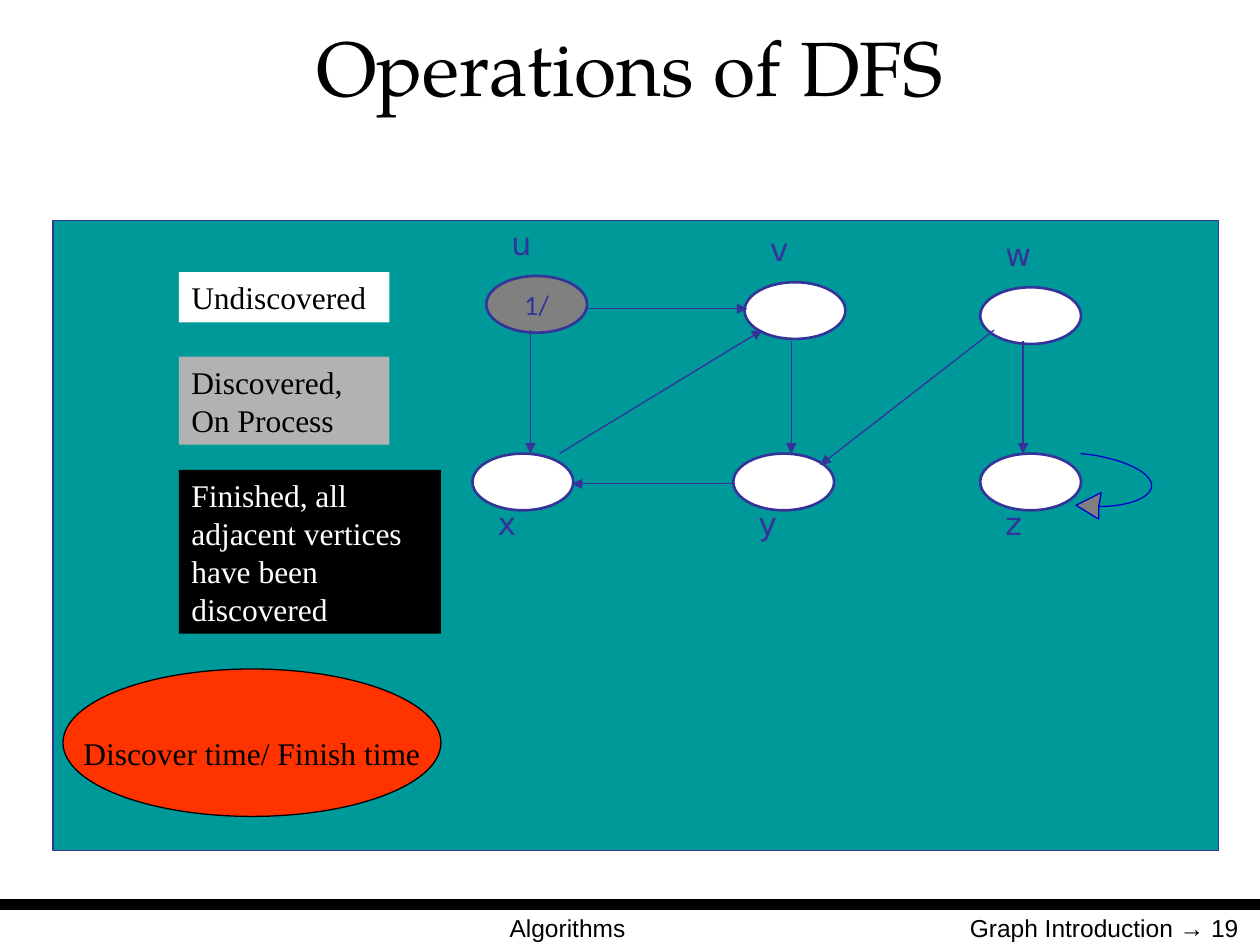
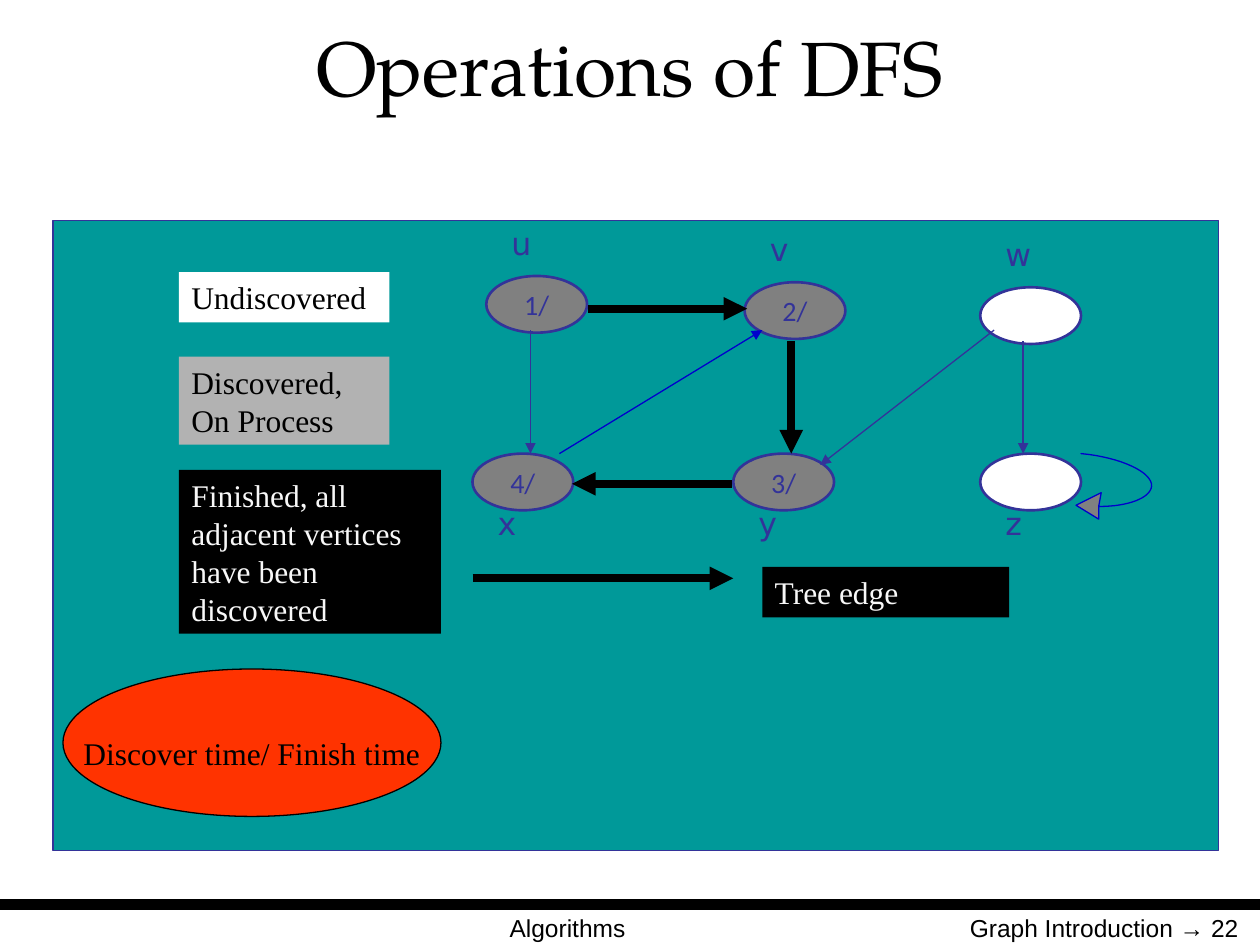
from dataclasses import dataclass

from pptx import Presentation
from pptx.dml.color import RGBColor
from pptx.enum.shapes import MSO_CONNECTOR as Connector, MSO_SHAPE as Shape
from pptx.enum.text import MSO_ANCHOR as Anchor, PP_ALIGN as Align
from pptx.oxml.ns import qn
from pptx.util import Inches, Pt
from lxml import etree


@dataclass(frozen=True)
class Theme:
    black: str = "000000"
    white: str = "FFFFFF"
    off_white: str = "F8F8F8"
    teal: str = "009999"
    indigo: str = "333399"
    blue: str = "0000CC"
    gray: str = "808080"
    silver: str = "B2B2B2"
    red: str = "FF3300"
    title: tuple = ("TeX Gyre Pagella", 44)
    body: tuple = ("Times New Roman", 18)
    label: tuple = ("DejaVu Sans", 18)
    time: tuple = ("Calibri", 16)
    footer: tuple = ("Arial", 14)
    thin: float = 0.75
    outline: float = 1.5
    tree: float = 4.5
    band: float = 6


T = Theme()

# Top left corner of each vertex
VERTICES = {
    "u": (3.86, 2.19), "v": (5.91, 2.24), "w": (7.78, 2.28),
    "x": (3.75, 3.6), "y": (5.82, 3.6), "z": (7.78, 3.6),
}
EDGES = {
    "uv": (4.67, 2.45, 5.93, 2.45),
    "yx": (5.81, 3.84, 4.54, 3.84),
    "vy": (6.28, 2.71, 6.28, 3.6),
    "ux": (4.21, 2.62, 4.21, 3.6),
    "wz": (8.12, 2.71, 8.12, 3.6),
    "wy": (7.89, 2.62, 6.51, 3.69),
    "xv": (4.44, 3.6, 6.05, 2.62),
}
LOOP_CURVES = (
    ((8.58, 3.6), (8.9, 3.63), (9.15, 3.75), (9.14, 3.86)),
    ((9.14, 3.86), (9.13, 3.95), (8.96, 4.02), (8.72, 4.02)),
)
LOOP_HEAD = [(8.72, 4.12), (8.54, 4.01), (8.74, 3.91), (8.72, 4.02)]


def rgb(color):
    return RGBColor.from_string(color)


def bezier(curve, steps=16):
    """Points along a cubic curve, both ends included."""
    weights = [((1 - t) ** 3, 3 * t * (1 - t) ** 2, 3 * t * t * (1 - t), t ** 3)
               for t in (i / steps for i in range(steps + 1))]
    return [tuple(sum(w * point[axis] for w, point in zip(ws, curve))
                  for axis in (0, 1)) for ws in weights]


class Deck:
    def __init__(self):
        self.prs = Presentation()
        self.prs.slide_width, self.prs.slide_height = Inches(10), Inches(7.5)
        self.s = None

    def new_slide(self, title, number):
        self.s = self.prs.slides.add_slide(self.prs.slide_layouts[6])
        self.line((0, 7.18, 10, 7.18), T.black, T.band, arrow=False)
        self.text((2.92, 7.2, 3.17, 0.52), "Algorithms", T.footer, align=Align.CENTER)
        self.text((7.18, 7.2, 2.75, 0.52), f"Graph Introduction → {number}",
                  T.footer, align=Align.RIGHT)
        self.text((0.05, 0.07, 9.9, 0.9), title, T.title, align=Align.CENTER,
                  vertical_anchor=Anchor.MIDDLE)

    def fill_text(self, sp, text, style, color, align=Align.LEFT, **frame):
        tf = sp.text_frame
        frame = {"word_wrap": True, "vertical_anchor": Anchor.TOP,
                 "margin_left": Inches(0.1), "margin_right": Inches(0.1),
                 "margin_top": Inches(0.05), "margin_bottom": Inches(0.05), **frame}
        for name, value in frame.items():
            setattr(tf, name, value)
        p = tf.paragraphs[0]
        p.alignment = align
        r = p.add_run()
        r.text = text
        name, size = style
        for key, value in {"name": name, "size": Pt(size)}.items():
            setattr(r.font, key, value)
        r.font.color.rgb = rgb(color)

    def text(self, box, text, style, color=T.black, **layout):
        sp = self.s.shapes.add_textbox(*map(Inches, box))
        self.fill_text(sp, text, style, color, **layout)

    def paint(self, sp, fill, line, width):
        sp.shadow.inherit = False
        sp.fill.solid()
        sp.fill.fore_color.rgb = rgb(fill)
        if line:
            sp.line.color.rgb = rgb(line)
            sp.line.width = Pt(width)
        else:
            sp.line.fill.background()

    def shape(self, kind, box, fill, line=None, width=T.thin):
        sp = self.s.shapes.add_shape(kind, *map(Inches, box))
        self.paint(sp, fill, line, width)
        return sp

    def line(self, ends, color, width, arrow=True):
        sp = self.s.shapes.add_connector(Connector.STRAIGHT, *map(Inches, ends))
        sp.line.color.rgb = rgb(color)
        sp.line.width = Pt(width)
        sp_pr = sp._element.spPr
        if arrow:
            etree.SubElement(sp_pr.find(qn("a:ln")), qn("a:tailEnd"), type="triangle")
        etree.SubElement(sp_pr, qn("a:effectLst"))

    def outline(self, points, fill, line):
        start, *rest = [tuple(map(Inches, point)) for point in points]
        builder = self.s.shapes.build_freeform(*start)
        builder.add_line_segments(rest, close=True)
        self.paint(builder.convert_to_shape(), fill, line, T.thin)

    def caption(self, box, text, fill, color):
        self.fill_text(self.shape(Shape.RECTANGLE, box, fill), text, T.body, color)

    def vertex(self, name, time):
        x, y = VERTICES[name]
        sp = self.shape(Shape.OVAL, (x, y, 0.8, 0.45), T.gray if time else T.white,
                        T.indigo, T.outline)
        if time:
            self.fill_text(sp, f"{time}/", T.time, T.indigo, align=Align.CENTER,
                           word_wrap=False, vertical_anchor=Anchor.MIDDLE)
        label_y = y - 0.46 if name in "uvw" else y + 0.35
        self.text((x + 0.02, label_y, 0.8, 0.4), name, T.label, T.indigo,
                  margin_left=Inches(0.18))

    def self_loop(self):
        arc = [point for curve in LOOP_CURVES for point in bezier(curve)]
        self.outline(arc + LOOP_HEAD + arc[::-1], T.gray, T.blue)

    def legend(self, light):
        self.caption((1.42, 2.16, 1.67, 0.4), "Undiscovered", T.white, T.black)
        self.caption((1.42, 2.83, 1.67, 0.7), "Discovered, On Process", T.silver, T.black)
        self.caption((1.42, 3.73, 2.08, 1.3),
                     "Finished, all adjacent vertices have been discovered", T.black, light)
        sp = self.shape(Shape.OVAL, (0.5, 5.31, 3, 1.17), T.red, T.black)
        self.fill_text(sp, "Discover time/ Finish time", T.body, T.black,
                       align=Align.CENTER, word_wrap=False,
                       vertical_anchor=Anchor.MIDDLE, margin_top=Inches(0.21))

    def dfs_step(self, number, times, tree=(), back=(), light=T.white):
        """One step of the search: discovery times, tree edges and back edges."""
        self.new_slide("Operations of DFS", number)
        self.shape(Shape.RECTANGLE, (0.42, 1.75, 9.25, 5), T.teal, T.indigo)
        self.self_loop()
        for name in VERTICES:
            self.vertex(name, times.get(name))
        for edge, ends in EDGES.items():
            if edge in tree:
                self.line(ends, T.black, T.tree)
            else:
                self.line(ends, T.blue if edge in back else T.indigo, T.thin)
        if tree:
            self.line((3.75, 4.59, 5.82, 4.59), T.black, T.tree)
            self.caption((6.05, 4.5, 1.96, 0.4), "Tree edge", T.black, light)
        self.legend(light)


def main():
    deck = Deck()
    deck.dfs_step(19, {"u": 1})
    deck.dfs_step(22, {"u": 1, "v": 2, "y": 3, "x": 4}, tree=("uv", "vy", "yx"),
                  back=("xv",), light=T.off_white)
    deck.prs.save("out.pptx")


if __name__ == "__main__":
    main()
